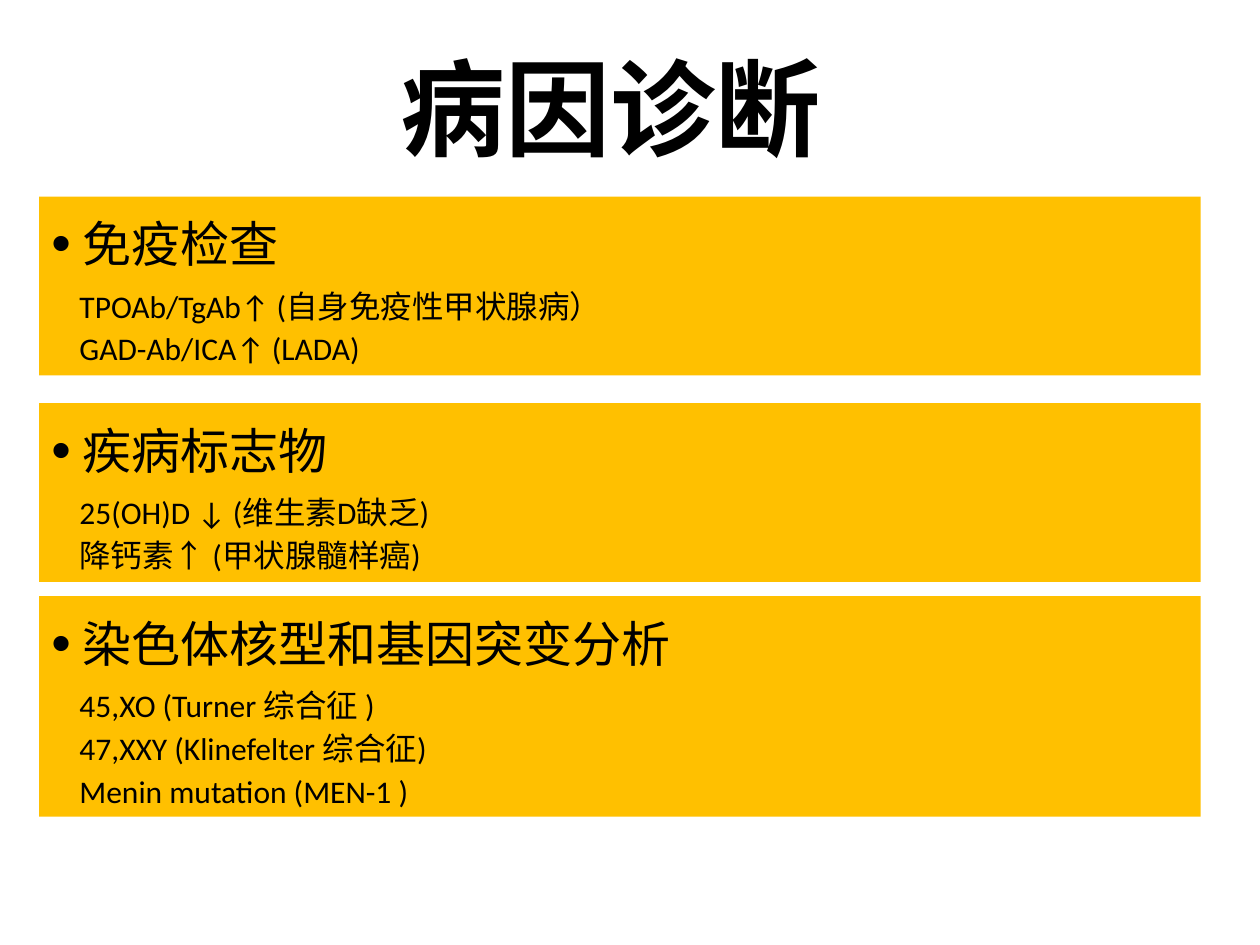
from dataclasses import dataclass

import pptx
import pptx.dml.color
import pptx.enum.text
import pptx.oxml
import pptx.oxml.ns
import pptx.util

Pt = pptx.util.Pt
RGB = pptx.dml.color.RGBColor
ALIGN = pptx.enum.text.PP_ALIGN
ANCHOR = pptx.enum.text.MSO_ANCHOR


@dataclass(frozen=True)
class Theme:
    font: str = "Calibri"
    text: RGB = RGB(0x00, 0x00, 0x00)
    panel: RGB = RGB(0xFF, 0xC0, 0x00)
    title_size: int = 60
    heading_size: int = 28
    detail_size: int = 18
    bullet_percent: int = 114


THEME = Theme()
PANEL_LEFT, PANEL_WIDTH = 22.3, 663.8

# top, height, heading, details
PANELS = [
    (112.3, 102.2, "免疫检查",
     ["TPOAb/TgAb↑ (自身免疫性甲状腺病）", "GAD-Ab/ICA↑ (LADA)"]),
    (230.4, 102.2, "疾病标志物",
     ["25(OH)D ↓ (维生素D缺乏)", "降钙素↑ (甲状腺髓样癌)"]),
    (340.6, 126, "染色体核型和基因突变分析",
     ["45,XO (Turner 综合征 )", "47,XXY (Klinefelter 综合征)",
      "Menin mutation (MEN-1 )"]),
]


def set_attributes(target, values):
    for name, value in values.items():
        setattr(target, name, value)


def set_indent(p, left, bullet=False):
    """Indent a paragraph, hanging a bullet in the indent if asked."""
    pPr = p._p.get_or_add_pPr()
    pPr.set("marL", str(Pt(left)))
    pPr.set("indent", str(-Pt(left) if bullet else 0))
    if bullet:
        ns = pptx.oxml.ns.nsdecls("a")
        for xml in (f'<a:buSzPct {ns} val="{THEME.bullet_percent * 1000}"/>',
                    f'<a:buFont {ns} typeface="Arial"/>',
                    f'<a:buChar {ns} char="•"/>'):
            pPr.append(pptx.oxml.parse_xml(xml))


def write(p, text, size, line, before=0, bold=False, align=ALIGN.LEFT):
    set_attributes(p, {"alignment": align, "line_spacing": Pt(line),
                       "space_before": Pt(before)})
    r = p.add_run()
    r.text = text
    set_attributes(r.font, {"name": THEME.font, "size": Pt(size), "bold": bold})
    r.font.color.rgb = THEME.text


def add_title(slide, text):
    sp = slide.shapes.add_textbox(0, 0, Pt(720), Pt(82.8))
    tf = sp.text_frame
    set_attributes(tf, {"word_wrap": True, "vertical_anchor": ANCHOR.TOP,
                        "margin_top": Pt(25), "margin_bottom": 0,
                        "margin_right": Pt(29)})
    write(tf.paragraphs[0], text, THEME.title_size, 72,
          bold=True, align=ALIGN.CENTER)


def add_panel(slide, top, height, heading, details):
    sp = slide.shapes.add_shape(
        pptx.enum.shapes.MSO_SHAPE.RECTANGLE,
        Pt(PANEL_LEFT), Pt(top), Pt(PANEL_WIDTH), Pt(height))
    sp.shadow.inherit = False
    sp.fill.solid()
    sp.fill.fore_color.rgb = THEME.panel
    sp.line.fill.background()
    tf = sp.text_frame
    set_attributes(tf, {"word_wrap": True, "vertical_anchor": ANCHOR.TOP})
    p = tf.paragraphs[0]
    set_indent(p, 18, bullet=True)
    write(p, heading, THEME.heading_size, 40)
    for i, detail in enumerate(details):
        p = tf.add_paragraph()
        set_indent(p, 16)
        write(p, detail, THEME.detail_size, 24.5, before=0 if i else 5)


def main():
    prs = pptx.Presentation()
    prs.slide_width, prs.slide_height = Pt(720), Pt(540)
    slide = prs.slides.add_slide(prs.slide_layouts[6])
    add_title(slide, "病因诊断")
    for panel in PANELS:
        add_panel(slide, *panel)
    prs.save("out.pptx")


if __name__ == "__main__":
    main()
